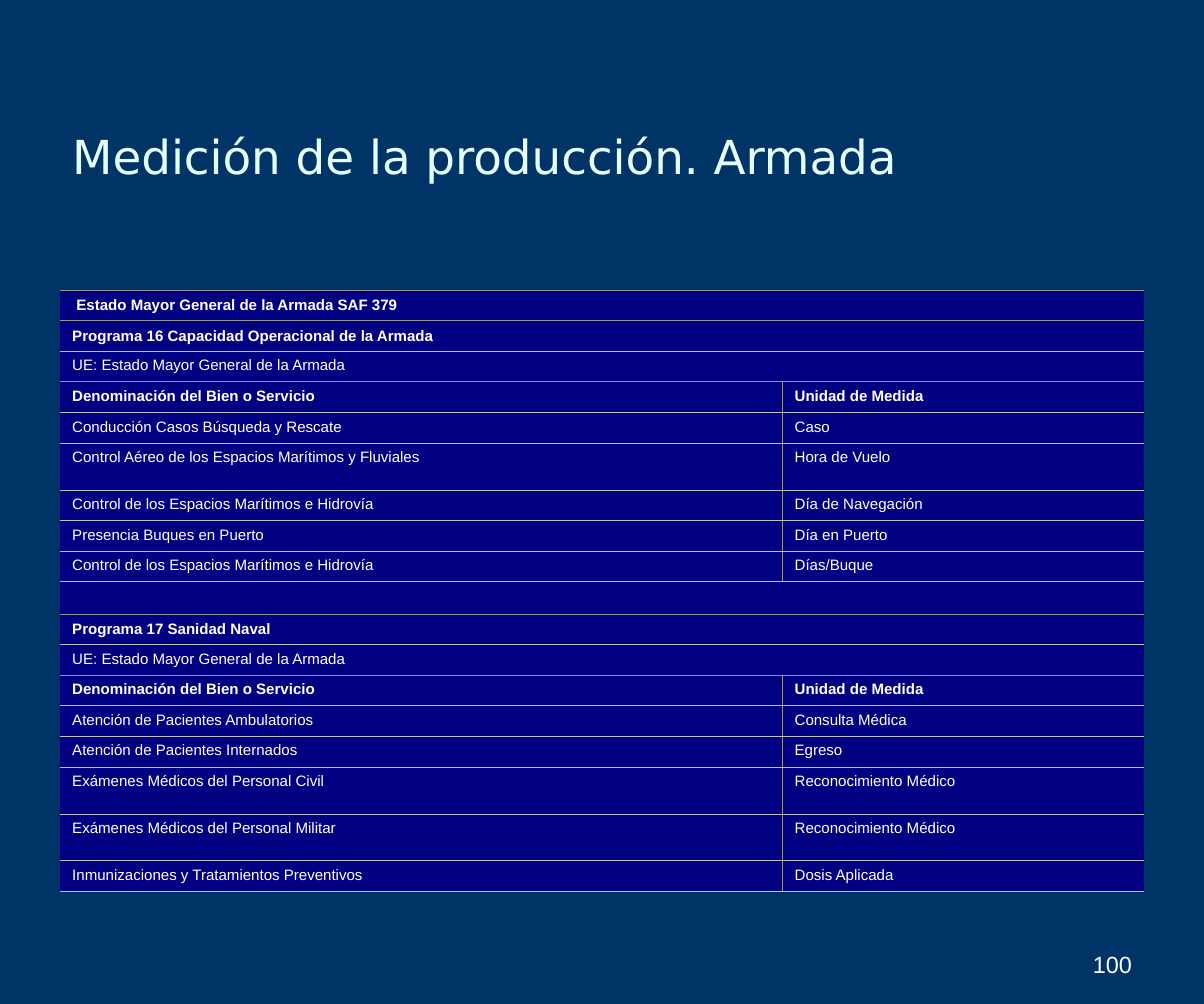
from lxml.etree import SubElement
from pptx import Presentation
from pptx.dml.color import RGBColor
from pptx.enum.text import MSO_ANCHOR as Anchor, MSO_AUTO_SIZE as AutoSize, PP_ALIGN as Align
from pptx.oxml.ns import qn
from pptx.util import Pt

INDICATOR_HEADINGS = ("Denominación del Bien o Servicio", "Unidad de Medida", True)
EXECUTING_UNIT = ("UE: Estado Mayor General de la Armada", "", False)
ROW, TALL_ROW, GAP_ROW = 18.3, 28.1, 19.4
TALL_SERVICES = {
    "Control Aéreo de los Espacios Marítimos y Fluviales",
    "Exámenes Médicos del Personal Civil",
    "Exámenes Médicos del Personal Militar",
}
PRODUCTION = [
    (" Estado Mayor General de la Armada SAF 379", "", True),
    ("Programa 16 Capacidad Operacional de la Armada", "", True),
    EXECUTING_UNIT,
    INDICATOR_HEADINGS,
    ("Conducción Casos Búsqueda y Rescate", "Caso", False),
    ("Control Aéreo de los Espacios Marítimos y Fluviales", "Hora de Vuelo", False),
    ("Control de los Espacios Marítimos e Hidrovía", "Día de Navegación", False),
    ("Presencia Buques en Puerto", "Día en Puerto", False),
    ("Control de los Espacios Marítimos e Hidrovía", "Días/Buque", False),
    ("", "", False),
    ("Programa 17 Sanidad Naval", "", True),
    EXECUTING_UNIT,
    INDICATOR_HEADINGS,
    ("Atención de Pacientes Ambulatorios", "Consulta Médica", False),
    ("Atención de Pacientes Internados", "Egreso", False),
    ("Exámenes Médicos del Personal Civil", "Reconocimiento Médico", False),
    ("Exámenes Médicos del Personal Militar", "Reconocimiento Médico", False),
    ("Inmunizaciones y Tratamientos Preventivos", "Dosis Aplicada", False),
]


def color(hex_code):
    return RGBColor.from_string(hex_code)


class ProductionSlide:
    """Holds the deck style and draws each kind of element on the current slide."""

    background, panel = "003366", "000080"
    title_color, text_color = "E5FFFF", "FFFFFF"
    silver, gray = "C0C0C0", "969696"
    title_font, body_font = "DejaVu Sans", "Arial"
    title_size, table_size, number_size = 28, 9, 14
    hanging = 27.36

    def __init__(self, deck):
        self.slide = deck.slides.add_slide(deck.slide_layouts[5])
        fill = self.slide.background.fill
        fill.solid()
        fill.fore_color.rgb = color(self.background)

    def add_text(self, paragraph, text, size, font, hex_code, bold=False):
        run = paragraph.add_run()
        run.text = text
        run.font.size = Pt(size)
        run.font.name = font
        run.font.bold = bold
        run.font.color.rgb = color(hex_code)

    def title(self, text, left, top, width, height):
        heading = self.slide.shapes.title
        heading.left, heading.top = Pt(left), Pt(top)
        heading.width, heading.height = Pt(width), Pt(height)
        frame = heading.text_frame
        frame.auto_size = AutoSize.NONE
        frame.vertical_anchor = Anchor.MIDDLE
        frame.paragraphs[0].alignment = Align.LEFT
        self.add_text(frame.paragraphs[0], text, self.title_size, self.title_font, self.title_color)

    def page_number(self, text, left, top, width, height):
        frame = self.slide.shapes.add_textbox(Pt(left), Pt(top), Pt(width), Pt(height)).text_frame
        frame.word_wrap = True
        frame.vertical_anchor = Anchor.BOTTOM
        frame.paragraphs[0].alignment = Align.RIGHT
        self.add_text(frame.paragraphs[0], text, self.number_size, self.body_font, self.text_color)

    def border(self, cell, side, hex_code):
        properties = cell._tc.get_or_add_tcPr()
        line = SubElement(properties, qn(f"a:ln{side}"), w=str(Pt(0.45)))
        if hex_code:
            solid = SubElement(line, qn("a:solidFill"))
            SubElement(solid, qn("a:srgbClr"), val=hex_code)
        else:
            SubElement(line, qn("a:noFill"))

    def cell(self, cell, text, bold, borders, anchor):
        for side, hex_code in borders.items():
            self.border(cell, side, hex_code)
        cell.fill.solid()
        cell.fill.fore_color.rgb = color(self.panel)
        cell.vertical_anchor = anchor
        paragraph = cell.text_frame.paragraphs[0]
        if text:
            indents = paragraph._p.get_or_add_pPr()
            indents.set("marL", str(Pt(self.hanging)))
            indents.set("indent", str(-Pt(self.hanging)))
            self.add_text(paragraph, text, self.table_size, self.body_font, self.text_color, bold)
        else:
            SubElement(paragraph._p, qn("a:endParaRPr"), sz=str(self.table_size * 100))

    def table(self, entries, heights, widths, left, top):
        table = self.slide.shapes.add_table(
            len(entries), len(widths), Pt(left), Pt(top), Pt(sum(widths)), Pt(sum(heights))
        ).table
        table.first_row = table.horz_banding = False
        for column, width in zip(table.columns, widths):
            column.width = Pt(width)
        for row, height in zip(table.rows, heights):
            row.height = Pt(height)
        edges = [self.gray if bold else self.silver for _, _, bold in entries] + [self.silver]
        for index, (service, unit, bold) in enumerate(entries):
            divider = self.gray if unit else None
            anchor = Anchor.MIDDLE if bold and not unit else Anchor.TOP
            for column, text in enumerate((service, unit)):
                borders = {
                    "L": divider if column else None,
                    "R": None if column else divider,
                    "T": edges[index],
                    "B": edges[index + 1],
                }
                self.cell(table.cell(index, column), text, bold, borders, anchor)
        for index in range(2):
            table.cell(index, 0).merge(table.cell(index, 1))


def row_height(service):
    if not service:
        return GAP_ROW
    return TALL_ROW if service in TALL_SERVICES else ROW


def main():
    deck = Presentation()
    deck.slide_width, deck.slide_height = Pt(720), Pt(600.5)
    page = ProductionSlide(deck)
    page.title("Medición de la producción. Armada", 36, 33.1, 648, 120.2)
    heights = [row_height(service) for service, _, _ in PRODUCTION]
    page.table(PRODUCTION, heights, (432, 216), 36, 173.5)
    page.page_number("100", 516, 546.5, 168, 41.8)
    deck.save("out.pptx")


if __name__ == "__main__":
    main()
